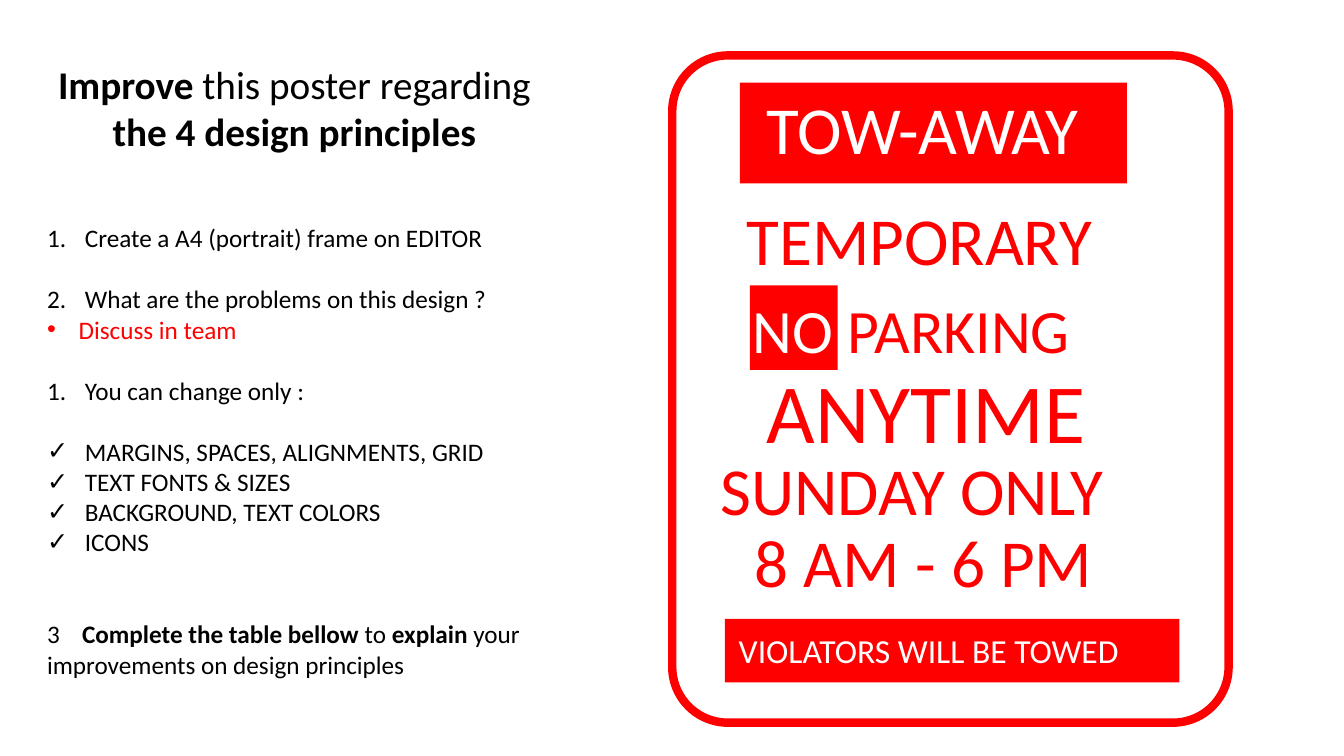
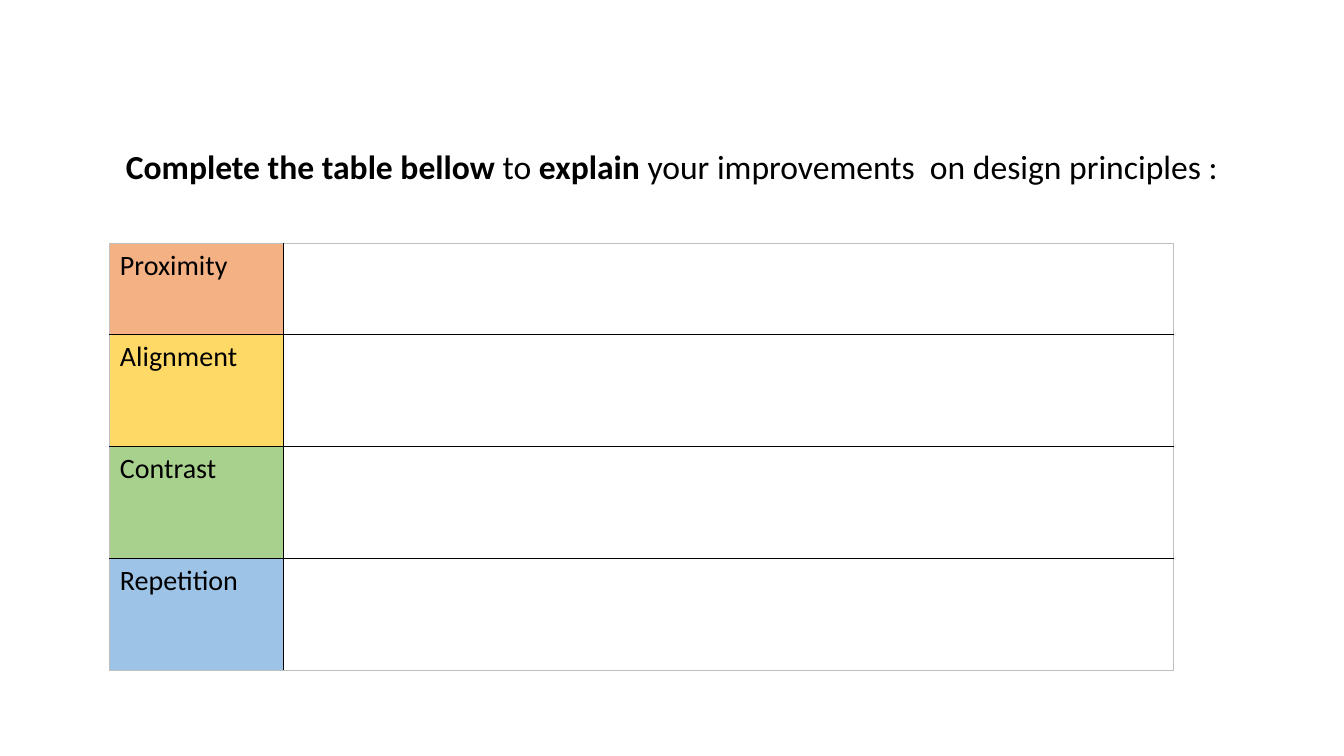
from lxml import etree
from pptx import Presentation
from pptx import util as u
from pptx.dml.color import RGBColor
from pptx.enum import shapes, text
from pptx.oxml.ns import qn

Pt = u.Pt
FONT = "Calibri"
COLOURS = {
    "black": "000000", "white": "FFFFFF", "red": "FF0000", "frame": "BFBFBF",
    "orange": "F4B183", "yellow": "FFD966", "green": "A9D18E", "blue": "9DC3E6",
}
TITLE_FRAME = {
    "word_wrap": True,
    "auto_size": text.MSO_AUTO_SIZE.NONE,
    "vertical_anchor": text.MSO_ANCHOR.TOP,
}
BODY_FRAME = {"word_wrap": True, "auto_size": text.MSO_AUTO_SIZE.NONE}
CAPTION_FRAME = {"word_wrap": False, "auto_size": text.MSO_AUTO_SIZE.SHAPE_TO_FIT_TEXT}
LINE = 22
INDENT = 27

POSTER_TITLE = [("Improve", True), (" this poster regarding ", False),
                ("the 4 design principles", True)]
TABLE_TITLE = [("Complete the table bellow ", True), ("to ", False), ("explain", True),
               (" your improvements  on design principles :", False)]
TASKS = [
    ("1.", "Create a A4 (portrait) frame on EDITOR", "black", 0),
    ("1.", "What are the problems on this design ?", "black", 1),
    ("•", "Discuss in team", "red", 0),
    ("1.", "You can change only :", "black", 1),
    ("✓", "MARGINS, SPACES, ALIGNMENTS, GRID", "black", 1),
    ("✓", "TEXT FONTS & SIZES", "black", 0),
    ("✓", "BACKGROUND, TEXT COLORS", "black", 0),
    ("✓", "ICONS", "black", 0),
]
LAST_TASK = [("3\t", False), ("Complete the table bellow ", True), ("to ", False),
             ("explain", True), (" your improvements on design principles", False)]
PLATES = [(535.7, 203.8, 62.6, 60.5), (528.5, 59, 276.5, 72), (517.7, 442.1, 324.7, 45.4)]
CAPTIONS = [
    ((530.6, 205.2, 272.2, 60.5), 44, [("NO", "white"), (" PARKING", "red")]),
    ((540.7, 253.4, 255.6, 79.9), 60, [("ANYTIME", "red")]),
    ((540.7, 59, 261.4, 65.5), 48, [("TOW-AWAY", "white")]),
    ((526.3, 138.2, 285.1, 65.5), 48, [("TEMPORARY", "red")]),
    ((507.6, 316.8, 328.3, 65.5), 48, [("SUNDAY ONLY", "red")]),
    ((532.1, 367.9, 278.6, 65.5), 48, [("8 AM - 6 PM", "red")]),
    ((520.6, 446.4, 321.8, 36), 24, [("VIOLATORS WILL BE TOWED", "white")]),
]
PRINCIPLES = [("Proximity", "orange"), ("Alignment", "yellow"),
              ("Contrast", "green"), ("Repetition", "blue")]


def colour(name):
    return RGBColor.from_string(COLOURS[name])


def apply(target, values):
    for key, value in values.items():
        setattr(target, key, value)


def add_run(paragraph, words, size, tint="black", bold=False):
    run = paragraph.add_run()
    run.text = words
    apply(run.font, {"name": FONT, "size": Pt(size), "bold": bold})
    run.font.color.rgb = colour(tint)


def add_title_slide(prs, box, size, runs):
    slide = prs.slides.add_slide(prs.slide_layouts[5])
    title = slide.shapes.title
    apply(title, dict(zip(("left", "top", "width", "height"), map(Pt, box))))
    apply(title.text_frame, TITLE_FRAME)
    heading = title.text_frame.paragraphs[0]
    heading.alignment = text.PP_ALIGN.CENTER
    for words, bold in runs:
        add_run(heading, words, size, bold=bold)
    return slide


def add_text_frame(slide, box, settings):
    frame = slide.shapes.add_textbox(*map(Pt, box)).text_frame
    apply(frame, settings)
    return frame


def add_panel(slide, preset, box):
    panel = slide.shapes.add_shape(preset, *map(Pt, box))
    panel.shadow.inherit = False
    return panel


def add_bullet(paragraph, mark, indent):
    props = paragraph._p.get_or_add_pPr()
    props.set("marL", str(Pt(indent)))
    props.set("indent", str(-Pt(indent)))
    if mark == "1.":
        etree.SubElement(props, qn("a:buFont"), typeface="+mj-lt")
        etree.SubElement(props, qn("a:buAutoNum"), type="arabicPeriod")
    else:
        etree.SubElement(props, qn("a:buFont"), typeface="Arial")
        etree.SubElement(props, qn("a:buChar"), char=mark)


def add_tab_stop(paragraph, position):
    tabs = etree.SubElement(paragraph._p.get_or_add_pPr(), qn("a:tabLst"))
    etree.SubElement(tabs, qn("a:tab"), pos=str(Pt(position)), algn="l")


def add_tasks(slide):
    frame = add_text_frame(slide, (26.6, 155.5, 378.7, 356.4), BODY_FRAME)
    task = frame.paragraphs[0]
    for mark, words, tint, gap_lines in TASKS:
        task.space_before = Pt(gap_lines * LINE)
        add_bullet(task, mark, 22.5 if mark == "•" else INDENT)
        add_run(task, words, 18, tint)
        task = frame.add_paragraph()
    task.space_before = Pt(2 * LINE)
    add_tab_stop(task, 25)
    for words, bold in LAST_TASK:
        add_run(task, words, 18, bold=bold)


def add_sign(slide):
    for box in PLATES:
        plate = add_panel(slide, shapes.MSO_SHAPE.RECTANGLE, box)
        plate.fill.solid()
        plate.fill.fore_color.rgb = colour("red")
        plate.line.fill.background()
    border = add_panel(slide, shapes.MSO_SHAPE.ROUNDED_RECTANGLE, (480.2, 39.6, 397.4, 476.6))
    border.adjustments[0] = 0.1
    border.fill.background()
    border.line.width = Pt(6)
    border.line.color.rgb = colour("red")
    for box, size, runs in CAPTIONS:
        caption = add_text_frame(slide, box, CAPTION_FRAME).paragraphs[0]
        for words, tint in runs:
            add_run(caption, words, size, tint)


def set_borders(cell, edges):
    props = cell._tc.get_or_add_tcPr()
    for position, (side, (tint, width)) in enumerate(edges.items()):
        line = etree.Element(qn("a:" + side), w=str(Pt(width)))
        fill = etree.SubElement(line, qn("a:solidFill"))
        etree.SubElement(fill, qn("a:srgbClr"), val=COLOURS[tint])
        props.insert(position, line)


def add_principles_table(slide):
    count = len(PRINCIPLES)
    table = slide.shapes.add_table(count, 2, *map(Pt, (78.5, 174.2, 759.6, 304.8))).table
    apply(table, {"first_row": False, "horz_banding": False})
    for column, width in zip(table.columns, (123.8, 635.8)):
        column.width = Pt(width)
    inner, outer = ("black", 1), ("frame", 0.75)
    for index, (principle, tint) in enumerate(PRINCIPLES):
        table.rows[index].height = Pt(80 if index else 64.8)
        label, answer = table.cell(index, 0), table.cell(index, 1)
        add_run(label.text_frame.paragraphs[0], principle, 20)
        label.fill.solid()
        label.fill.fore_color.rgb = colour(tint)
        answer.fill.background()
        top = inner if index else outer
        bottom = inner if index < count - 1 else outer
        for cell, left, right in ((label, outer, inner), (answer, inner, outer)):
            set_borders(cell, {"lnL": left, "lnR": right, "lnT": top, "lnB": bottom})


def main():
    prs = Presentation()
    apply(prs, {"slide_width": Pt(960), "slide_height": Pt(540)})
    poster = add_title_slide(prs, (20.9, 39.6, 378.7, 74.9), 28, POSTER_TITLE)
    add_tasks(poster)
    add_sign(poster)
    answers = add_title_slide(prs, (64.1, 100.8, 831.6, 36), 24, TABLE_TITLE)
    add_principles_table(answers)
    prs.save("out.pptx")


main()
